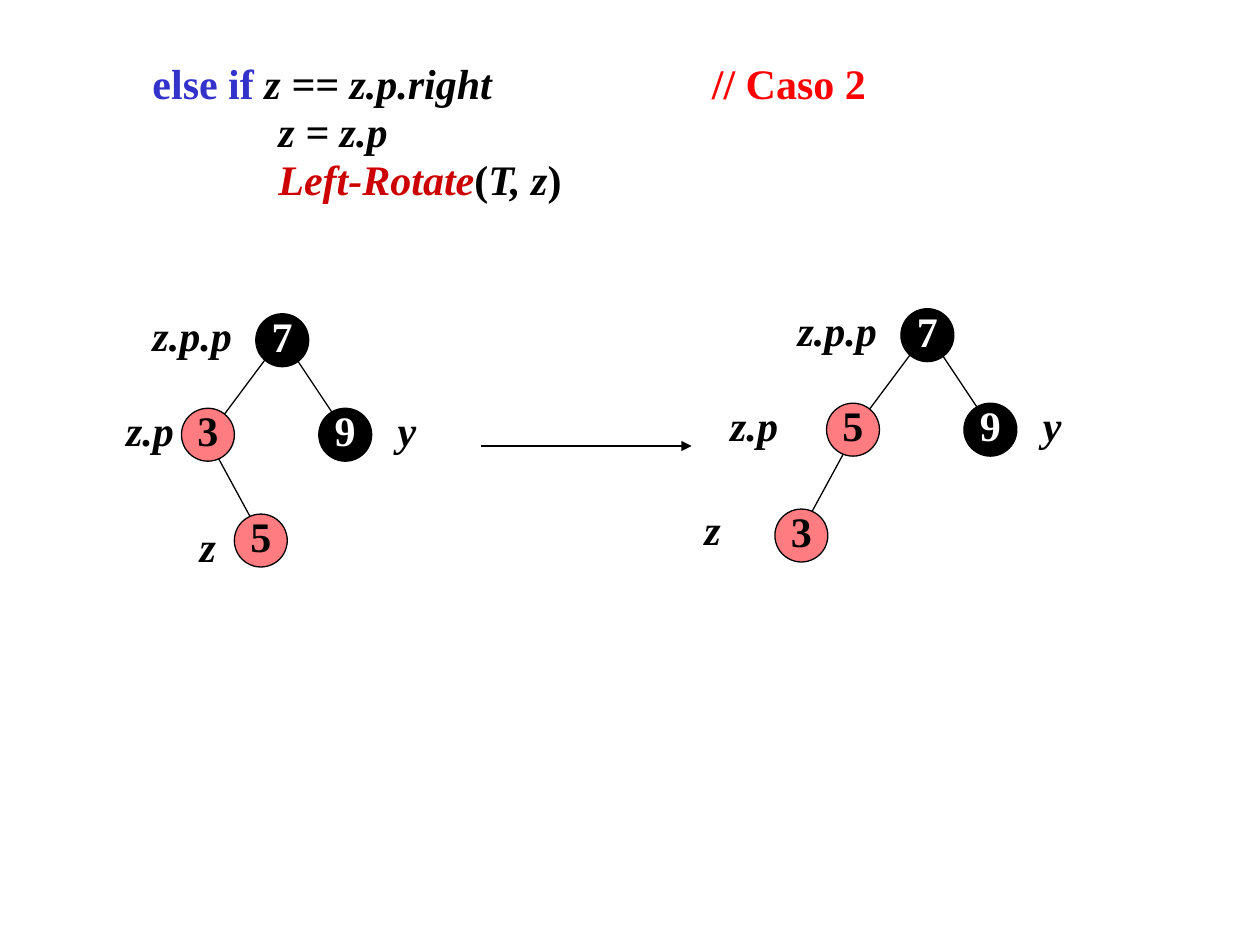
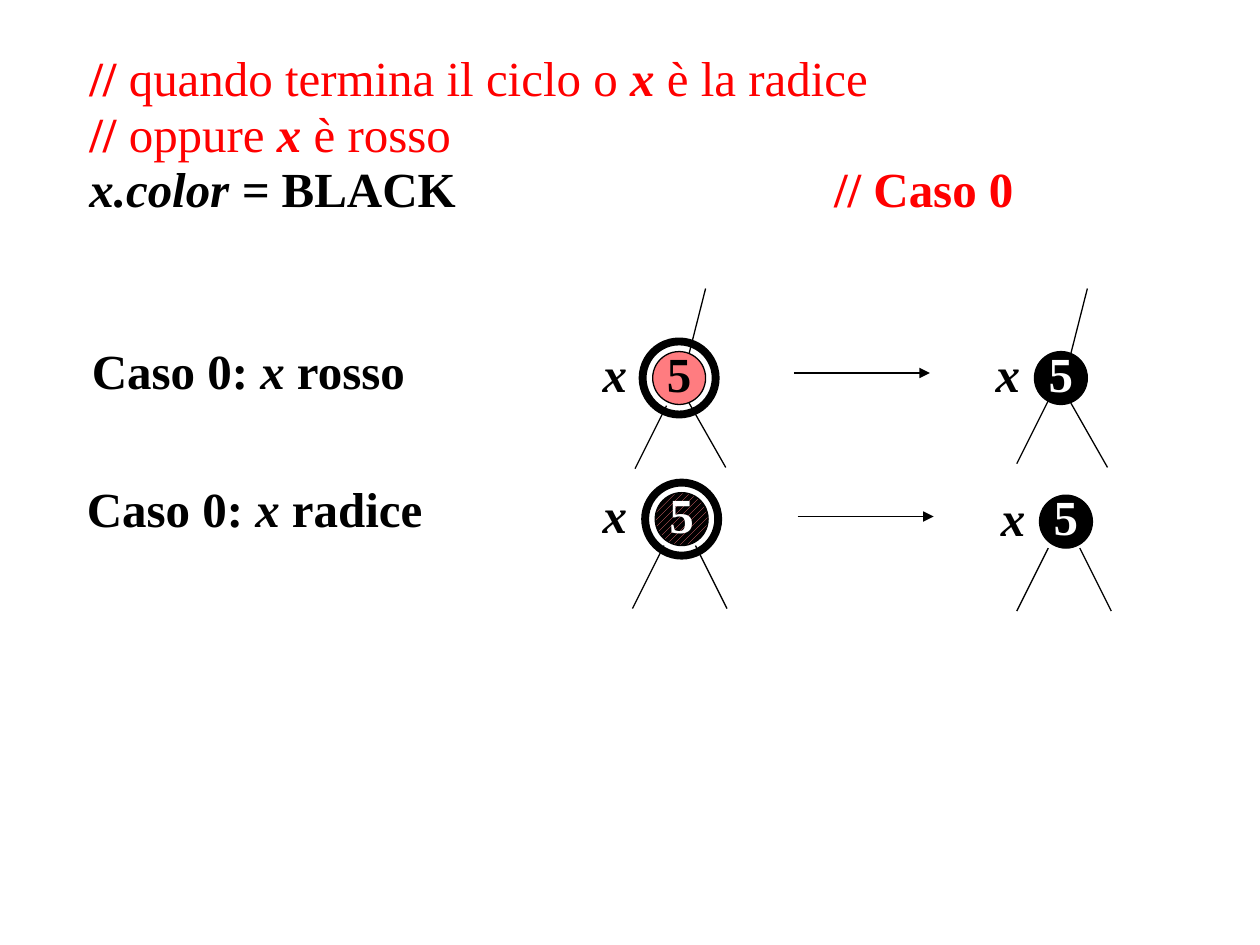
import pptx
import pptx.util
import pptx.oxml
import pptx.oxml.ns
import pptx.dml.color
import pptx.enum.dml
import pptx.enum.shapes
import pptx.enum.text
from pptx.util import Inches

RGBColor = pptx.dml.color.RGBColor
BLACK = RGBColor(0x00, 0x00, 0x00)
WHITE = RGBColor(0xFF, 0xFF, 0xFF)
NODE_RED = RGBColor(0xFF, 0x7C, 0x80)
KEYWORD = RGBColor(0x33, 0x33, 0xCC)
CALL = RGBColor(0xCC, 0x00, 0x00)
COMMENT = RGBColor(0xFF, 0x00, 0x00)

FONT = "Times New Roman"
NODE = 0.42
RING = 0.58
ITALIC = {"italic": True}
RED = {"color": COMMENT}
RED_PLAIN = {"color": COMMENT, "bold": False}
RED_ITALIC = {"color": COMMENT, "italic": True}


class Canvas:
    """Current slide, its text size, and the drawing methods."""

    def __init__(self, prs, size):
        self.s = prs.slides.add_slide(prs.slide_layouts[6])
        self.size = pptx.util.Pt(size)

    def add_runs(self, p, runs):
        for text, style in runs:
            r = p.add_run()
            r.text = text
            values = {"name": FONT, "size": self.size, "bold": True, "italic": False,
                      "color": BLACK, **style}
            r.font.color.rgb = values.pop("color")
            for name, value in values.items():
                setattr(r.font, name, value)

    def text(self, left, top, width, height, lines, tab=None, inset=0.1, spacing=1.0):
        """Left-aligned lines, each a pair of indent and runs."""
        sp = self.s.shapes.add_textbox(*map(Inches, (left, top, width, height)))
        tf = sp.text_frame
        tf.word_wrap = True
        tf.margin_left = Inches(inset)
        for i, (indent, runs) in enumerate(lines):
            p = tf.paragraphs[0] if i == 0 else tf.add_paragraph()
            p.line_spacing = spacing
            pPr = p._p.get_or_add_pPr()
            pPr.set("marL", str(Inches(indent)))
            if tab:
                tabs = pptx.oxml.parse_xml(
                    f'<a:tabLst {pptx.oxml.ns.nsdecls("a")}>'
                    f'<a:tab pos="{Inches(tab)}" algn="l"/></a:tabLst>')
                pPr.append(tabs)
            self.add_runs(p, runs)

    def centre(self, sp, text, style, spacing=1.0):
        tf = sp.text_frame
        tf.word_wrap = False
        tf.vertical_anchor = pptx.enum.text.MSO_ANCHOR.MIDDLE
        p = tf.paragraphs[0]
        p.alignment = pptx.enum.text.PP_ALIGN.CENTER
        p.line_spacing = spacing
        self.add_runs(p, [(text, style)])

    def label(self, left, top, text, width=0.58):
        sp = self.s.shapes.add_textbox(*map(Inches, (left, top, width, 0.5)))
        self.centre(sp, text, ITALIC)

    def circle(self, left, top, size, line_width):
        sp = self.s.shapes.add_shape(pptx.enum.shapes.MSO_SHAPE.OVAL,
                                     *map(Inches, (left, top, size, size)))
        sp.shadow.inherit = False
        sp.fill.background()
        sp.line.color.rgb = BLACK
        sp.line.width = pptx.util.Pt(line_width)
        return sp

    def node(self, left, top, text, fill, hatched=False):
        sp = self.circle(left, top, NODE, 0.75)
        if hatched:
            sp.fill.patterned()
            sp.fill.pattern = pptx.enum.dml.MSO_PATTERN.WIDE_UPWARD_DIAGONAL
            sp.fill.fore_color.rgb = NODE_RED
            sp.fill.back_color.rgb = fill
        else:
            sp.fill.solid()
            sp.fill.fore_color.rgb = fill
        self.centre(sp, text, {"color": WHITE if fill == BLACK else BLACK}, 0.8)

    def ring(self, left, top):
        self.circle(left, top, RING, 4.5)

    def line(self, x1, y1, x2, y2, arrow=False):
        c = self.s.shapes.add_connector(pptx.enum.shapes.MSO_CONNECTOR.STRAIGHT,
                                        *map(Inches, (x1, y1, x2, y2)))
        c.line.color.rgb = BLACK
        c.line.width = pptx.util.Pt(0.75)
        if arrow:
            ln = c.line._get_or_add_ln()
            ln.append(pptx.oxml.parse_xml(
                f'<a:tailEnd {pptx.oxml.ns.nsdecls("a")} type="triangle"/>'))
        c._element.spPr.append(pptx.oxml.parse_xml(
            f'<a:effectLst {pptx.oxml.ns.nsdecls("a")}/>'))

    def edges(self, left, top, offsets):
        """Lines given relative to a node's corner."""
        for x1, y1, x2, y2 in offsets:
            self.line(left + x1, top + y1, left + x2, top + y2)

    def tree(self, left, top, child, grandchild, grandchild_dx, lower_edge, labels):
        """Tree whose root 7 has its corner at left, top."""
        self.edges(left, top, [(0.16, 0.25, -0.34, 0.92), lower_edge,
                               (0.25, 0.25, 0.75, 1.0)])
        for dx, dy, text, fill in [(-0.59, 0.75, child, NODE_RED),
                                   (0.5, 0.75, "9", BLACK),
                                   (grandchild_dx, 1.59, grandchild, NODE_RED),
                                   (0, 0, "7", BLACK)]:
            self.node(left + dx, top + dy, text, fill)
        self.label(left - 0.92, top - 0.08, "z.p.p", 0.83)
        self.label(left + 0.91, top + 0.67, "y")
        for dx, dy, text, width in labels:
            self.label(left + dx, top + dy, text, width)


def rotation_slide(prs):
    c = Canvas(prs, 24)
    c.text(0.27, 0.44, 9.41, 1.24, [
        (0, [("else if ", {"color": KEYWORD}), ("z == z.p.right\t", ITALIC),
             ("// Caso 2", RED)]),
        (1, [("z = z.p", ITALIC)]),
        (1, [("Left-Rotate", {"color": CALL, "italic": True}), ("(", {}),
             ("T, z", ITALIC), (")", {})]),
    ], tab=4.44, inset=0.94, spacing=0.95)
    c.tree(2.03, 2.49, "3", "5", -0.17, (-0.42, 0.92, 0.08, 1.84),
           [(-1.13, 0.67, "z.p", 0.58), (-0.67, 1.59, "z", 0.58)])
    c.line(3.82, 3.54, 5.49, 3.54, arrow=True)
    c.tree(7.15, 2.45, "5", "3", -1.0, (-0.33, 0.92, -0.83, 1.84),
           [(-1.58, 0.67, "z.p", 0.83), (-1.91, 1.5, "z", 0.83)])


def case_zero_slide(prs):
    c = Canvas(prs, 28)
    c.text(0.31, 0.36, 9.14, 1.44, [
        (0, [("// ", RED), ("quando termina il ciclo o ", RED_PLAIN),
             ("x ", RED_ITALIC), ("è la radice", RED_PLAIN)]),
        (0, [("// ", RED), ("oppure ", RED_PLAIN), ("x ", RED_ITALIC),
             ("è rosso", RED_PLAIN)]),
        (0, [("x.color = ", ITALIC), ("BLACK\t", {}), ("// Caso 0", RED)]),
    ], tab=5.91, inset=0.4, spacing=0.95)

    for left, top, kind in [(0.63, 2.65, "rosso"), (0.59, 3.75, "radice")]:
        c.text(left, top, 3.65, 0.57,
               [(0, [("Caso 0: ", {}), ("x ", ITALIC), (kind, {})])])

    parent = (0.42, -0.5, 0.25, 0.17)
    right_child = (0.25, 0.34, 0.58, 0.92)
    root_children = [(0.32, 0.42, 0.57, 0.92), (0.07, 0.42, -0.18, 0.92)]
    # left, top, fill, hatched, ringed, label offset, edges
    for left, top, fill, hatched, ringed, label_dx, edges in [
        (5.18, 2.79, NODE_RED, False, True, -0.59,
         [parent, right_child, (0.11, 0.43, -0.14, 0.93)]),
        (8.21, 2.79, BLACK, False, False, -0.5,
         [parent, right_child, (0.11, 0.39, -0.14, 0.89)]),
        (5.2, 3.91, BLACK, True, True, -0.61, root_children),
        (8.25, 3.93, BLACK, False, False, -0.5, root_children),
    ]:
        c.edges(left, top, edges)
        c.node(left, top, "5", fill, hatched)
        if ringed:
            c.ring(left - 0.08, top - 0.08)
        c.label(left + label_dx, top - 0.08, "x")

    for left, y in [(6.3, 2.96), (6.33, 4.1)]:
        c.line(left, y, left + 1.08, y, arrow=True)


def main():
    prs = pptx.Presentation()
    prs.slide_width, prs.slide_height = Inches(10), Inches(7.5)
    rotation_slide(prs)
    case_zero_slide(prs)
    prs.save("out.pptx")


if __name__ == "__main__":
    main()
